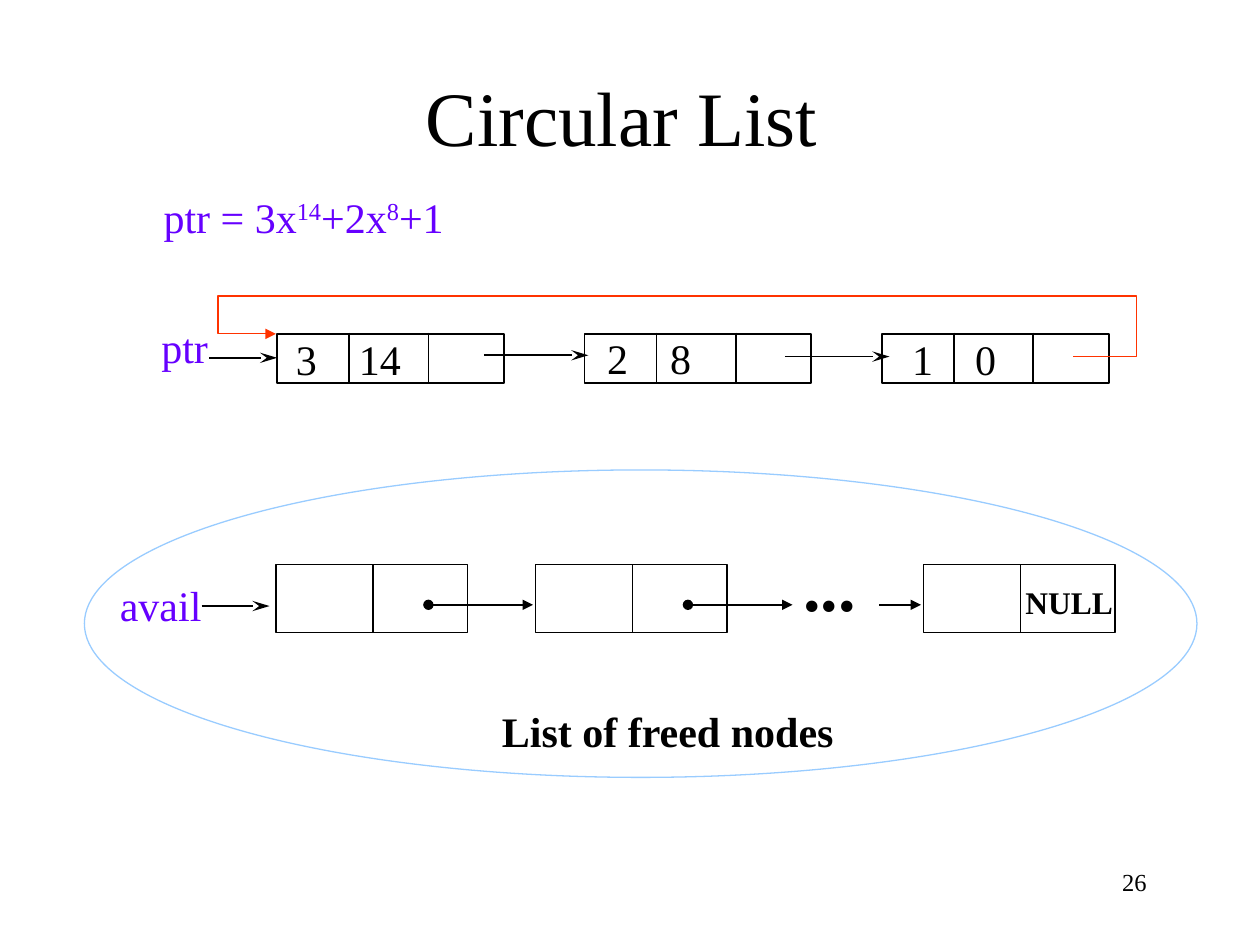
"""Build the Circular List slide: a circular polynomial list above the list of freed nodes."""
from dataclasses import dataclass
from typing import Optional

from lxml.etree import SubElement
from pptx import Presentation
from pptx.dml.color import RGBColor
from pptx.enum.shapes import MSO_CONNECTOR as CONN, MSO_SHAPE as SHAPE
from pptx.enum.text import MSO_ANCHOR as ANCHOR, MSO_AUTO_SIZE as AUTO, PP_ALIGN as ALIGN
from pptx.oxml.ns import qn
from pptx.util import Inches, Pt


@dataclass(frozen=True)
class Theme:
    font: str = "Times New Roman"
    ink: RGBColor = RGBColor(0x00, 0x00, 0x00)
    accent: RGBColor = RGBColor(0x66, 0x00, 0xFF)
    loop: RGBColor = RGBColor(0xFF, 0x33, 0x00)
    ring: RGBColor = RGBColor(0x99, 0xCC, 0xFF)
    title: int = 44
    dots: int = 40
    body: int = 24
    null: int = 18
    number: int = 14
    thin: float = 0.75
    line: float = 1


T = Theme()


@dataclass(frozen=True)
class Run:
    text: str
    baseline: int = 0


@dataclass(frozen=True)
class Label:
    runs: tuple[Run, ...]
    left: float
    top: float
    width: float
    height: float = 0.5
    size: int = T.body
    color: RGBColor = T.ink
    bold: bool = False
    align: ALIGN = ALIGN.CENTER
    anchor: ANCHOR = ANCHOR.TOP
    wrap: bool = False
    tab: Optional[float] = None


@dataclass(frozen=True)
class Arrow:
    x1: float
    x2: float
    y: float
    tail: str = "stealth"
    head: Optional[str] = None


@dataclass(frozen=True)
class Node:
    left: float
    top: float
    width: float
    height: float
    dividers: tuple[float, ...]
    overhang: float
    weight: float


@dataclass(frozen=True)
class Term:
    text: str
    left: float
    top: float
    width: float


TERM_LEFTS = (2.2, 4.64, 7.0)
FREE_LEFTS = (2.19, 4.25, 7.33)
NODES = (
    *(Node(x, 2.65, 1.8, 0.39, (0.57, 1.2), 0.01, T.line) for x in TERM_LEFTS),
    *(Node(x, 4.48, 1.52, 0.54, (0.77,), 0, T.thin) for x in FREE_LEFTS),
)
ARROWS = (
    Arrow(1.66, 2.2, 2.84),
    Arrow(3.84, 4.67, 2.82),
    Arrow(6.23, 7.06, 2.83),
    Arrow(1.6, 2.14, 4.81),
    Arrow(3.4, 4.23, 4.8, "triangle", "oval"),
    Arrow(5.46, 6.29, 4.8, "triangle", "oval"),
    Arrow(6.98, 7.31, 4.8, "triangle"),
)
LOOP = ((8.52, 2.83), (9.02, 2.83), (9.02, 2.35), (1.73, 2.35), (1.73, 2.65), (2.19, 2.65))
POLYNOMIAL = (Run("ptr = 3x"), Run("14", 30), Run("+2x"), Run("8", 30), Run("+1"))
TERMS = (
    Term("3\t14", 2.25, 2.6, 1.57),
    Term("2\t8", 4.72, 2.59, 1.52),
    Term("1\t0", 7.14, 2.6, 1.99),
)
LABELS = (
    Label((Run("Circular List"),), 0.33, 0.29, 9.21, 1.25, T.title, anchor=ANCHOR.MIDDLE, wrap=True),
    Label(POLYNOMIAL, 0.94, 1.48, 2.94, 0.48, color=T.accent, anchor=ANCHOR.MIDDLE),
    Label((Run("ptr"),), 1.17, 2.5, 0.59, color=T.accent),
    *(Label((Run(t.text),), t.left, t.top, t.width, align=ALIGN.LEFT, wrap=True, tab=0.5) for t in TERMS),
    Label((Run("avail"),), 0.84, 4.55, 0.87, color=T.accent),
    Label((Run("..."),), 6.25, 4.25, 0.67, 0.77, T.dots, bold=True),
    Label((Run("NULL"),), 8.01, 4.58, 0.95, 0.4, T.null, bold=True),
    Label((Run("List of freed nodes"),), 3.87, 5.55, 2.86, bold=True),
    Label((Run("26"),), 7.12, 6.83, 2.08, size=T.number, align=ALIGN.RIGHT, wrap=True),
)


def add_label(s, label: Label) -> None:
    box = s.shapes.add_textbox(*map(Inches, (label.left, label.top, label.width, label.height)))
    tf = box.text_frame
    tf.word_wrap = label.wrap
    tf.auto_size = AUTO.NONE if label.wrap else AUTO.SHAPE_TO_FIT_TEXT
    tf.vertical_anchor = label.anchor
    p = tf.paragraphs[0]
    p.alignment = label.align
    if label.tab is not None:
        tabs = SubElement(p._p.get_or_add_pPr(), qn("a:tabLst"))
        SubElement(tabs, qn("a:tab"), pos=str(Inches(label.tab)), algn="l")
    for run in label.runs:
        r = p.add_run()
        r.text = run.text
        r.font.name = T.font
        r.font.size = Pt(label.size)
        r.font.bold = label.bold
        r.font.color.rgb = label.color
        if run.baseline:
            r._r.get_or_add_rPr().set("baseline", str(run.baseline * 1000))


def set_line(sp, color: RGBColor, weight: float, head: Optional[str] = None, tail: Optional[str] = None) -> None:
    sp.line.color.rgb = color
    sp.line.width = Pt(weight)
    ln = sp.line._get_or_add_ln()
    for tag, kind in (("a:headEnd", head), ("a:tailEnd", tail)):
        if kind:
            length = "lg" if kind == "stealth" else "med"
            SubElement(ln, qn(tag), type=kind, w="med", len=length)


def add_outline(s, kind: SHAPE, left: float, top: float, width: float, height: float,
                color: RGBColor, weight: float) -> None:
    sp = s.shapes.add_shape(kind, *map(Inches, (left, top, width, height)))
    sp.shadow.inherit = False
    sp.fill.background()
    set_line(sp, color, weight)


def add_line(s, x1: float, y1: float, x2: float, y2: float, weight: float,
             head: Optional[str] = None, tail: Optional[str] = None) -> None:
    cxn = s.shapes.add_connector(CONN.STRAIGHT, *map(Inches, (x1, y1, x2, y2)))
    set_line(cxn, T.ink, weight, head, tail)
    SubElement(cxn._element.spPr, qn("a:effectLst"))


def add_node(s, node: Node) -> None:
    add_outline(s, SHAPE.RECTANGLE, node.left, node.top, node.width, node.height, T.ink, node.weight)
    bottom = node.top + node.height
    for offset in node.dividers:
        x = node.left + offset
        add_line(s, x, node.top - node.overhang, x, bottom + node.overhang, node.weight)


def add_loop(s, points: tuple[tuple[float, float], ...]) -> None:
    start, *rest = [(Inches(x), Inches(y)) for x, y in points]
    builder = s.shapes.build_freeform(*start)
    builder.add_line_segments(rest, close=False)
    sp = builder.convert_to_shape()
    sp.shadow.inherit = False
    sp.fill.background()
    set_line(sp, T.loop, T.thin, tail="triangle")


def main() -> None:
    prs = Presentation()
    prs.slide_width, prs.slide_height = Inches(10), Inches(7.5)
    s = prs.slides.add_slide(prs.slide_layouts[6])
    for node in NODES:
        add_node(s, node)
    for arrow in ARROWS:
        add_line(s, arrow.x1, arrow.y, arrow.x2, arrow.y, T.line, arrow.head, arrow.tail)
    add_loop(s, LOOP)
    add_outline(s, SHAPE.OVAL, 0.67, 3.73, 8.83, 2.44, T.ring, T.thin)
    for label in LABELS:
        add_label(s, label)
    prs.save("out.pptx")


if __name__ == "__main__":
    main()
